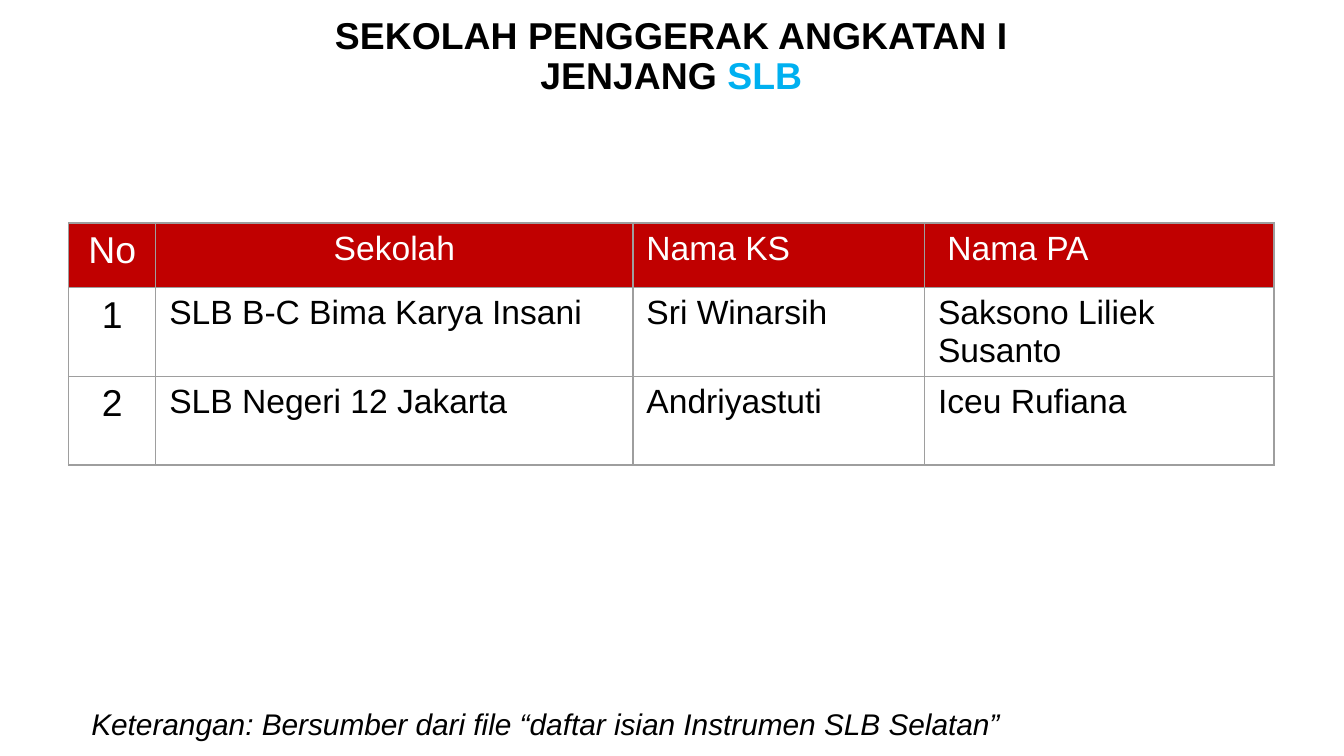
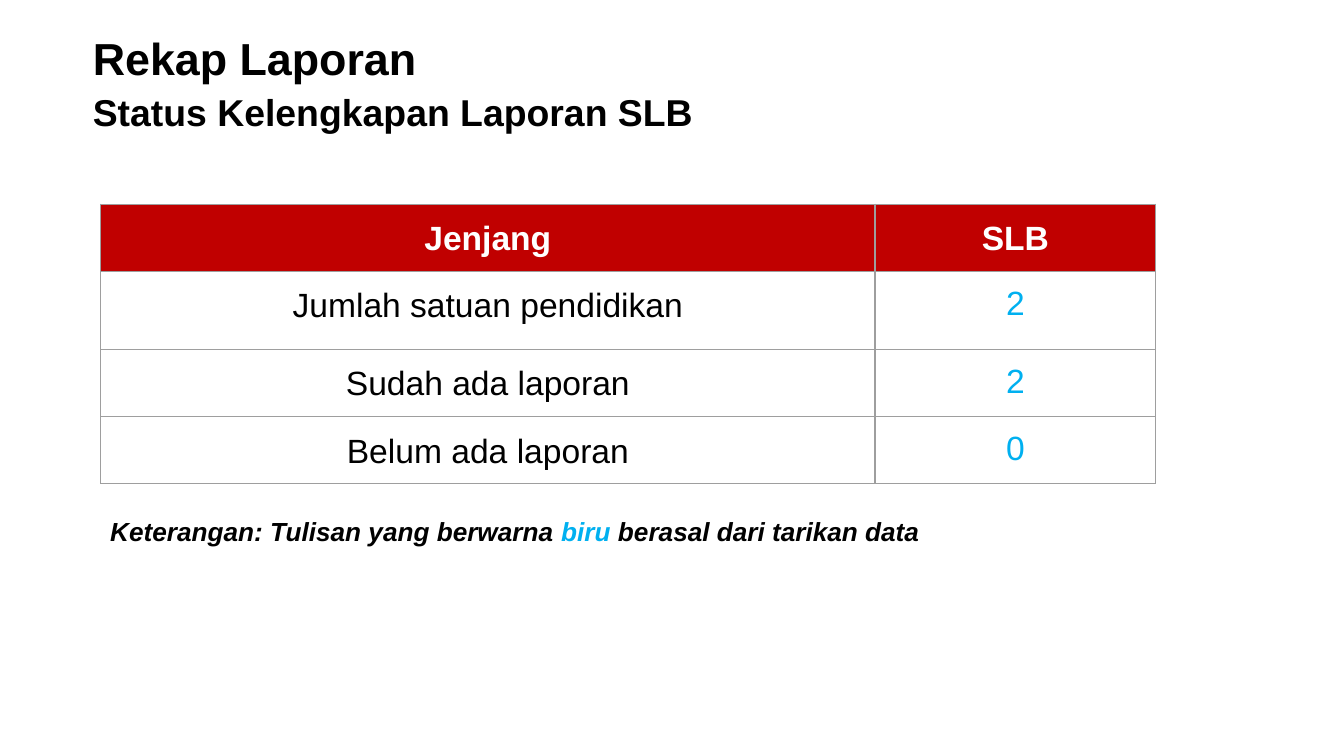
"""Build two slides on the first SLB school cohort and its report status."""
from dataclasses import dataclass

import pptx
import pptx.dml.color
import pptx.enum.text
import pptx.oxml
import pptx.oxml.ns
import pptx.util
from pptx.util import Inches

ALIGN = pptx.enum.text.PP_ALIGN
ANCHOR = pptx.enum.text.MSO_ANCHOR


@dataclass(frozen=True)
class Theme:
    font: str = "Arial"
    black: str = "000000"
    white: str = "FFFFFF"
    blue: str = "00B0F0"
    red: str = "C00000"
    grid: str = "9E9E9E"
    heading: int = 24
    title: int = 20
    body: int = 18
    note: int = 16
    small: int = 14


T = Theme()

SCHOOL_TITLE = [("SEKOLAH PENGGERAK ANGKATAN I\nJENJANG ", T.black), ("SLB", T.blue)]
SCHOOLS = [
    ("No", "Sekolah", "Nama KS", " Nama PA"),
    ("1", "SLB B-C Bima Karya Insani", "Sri Winarsih", "Saksono Liliek Susanto"),
    ("2", "SLB Negeri 12 Jakarta", "Andriyastuti", "Iceu Rufiana"),
]
SCHOOL_NOTE = "Keterangan: Bersumber dari file “daftar isian Instrumen SLB Selatan”"

REPORT_TITLE = "Rekap Laporan"
REPORT_SUBTITLE = "Status Kelengkapan Laporan SLB"
REPORTS = [
    ("Jenjang", "SLB"),
    ("Jumlah satuan pendidikan", "2"),
    ("Sudah ada laporan", "2"),
    ("Belum ada laporan", "0"),
]
REPORT_NOTE = [
    ("Keterangan: Tulisan yang berwarna ", T.black),
    ("biru ", T.blue),
    ("berasal dari tarikan data", T.black),
]


def write(tf, text, size=T.body, color=T.black, bold=False, italic=False,
          align=ALIGN.LEFT, spacing=None, after=None):
    """Write a string, or (string, colour) pairs, as one paragraph."""
    p = tf.paragraphs[0]
    p.alignment, p.line_spacing = align, spacing
    if after is not None:
        p.space_after = pptx.util.Pt(after)
    for part, shade in [(text, color)] if isinstance(text, str) else text:
        for i, line in enumerate(part.split("\n")):
            if i:
                p.add_line_break()
            r = p.add_run()
            r.text = line
            f = r.font
            f.name, f.size = T.font, pptx.util.Pt(size)
            f.bold, f.italic = bold, italic
            f.color.rgb = pptx.dml.color.RGBColor.from_string(shade)


def fill_box(sp, box, text, **fmt):
    """Place a text shape and write its line."""
    sp.left, sp.top, sp.width, sp.height = map(Inches, box)
    tf = sp.text_frame
    tf.word_wrap = True
    tf.auto_size = pptx.enum.text.MSO_AUTO_SIZE.NONE
    tf.vertical_anchor = ANCHOR.MIDDLE
    tf.margin_left = tf.margin_right = Inches(0.07)
    tf.margin_top = tf.margin_bottom = Inches(0.04)
    write(tf, text, spacing=0.9, **fmt)


def add_text(s, box, text, **fmt):
    """Add a text box."""
    fill_box(s.shapes.add_textbox(0, 0, 0, 0), box, text, **fmt)


def add_slide(prs, box, title, **fmt):
    """Add a slide with a bold title."""
    s = prs.slides.add_slide(prs.slide_layouts[5])
    fill_box(s.shapes.title, box, title, bold=True, **fmt)
    return s


def set_borders(cell):
    """Draw the thin grey grid around a cell."""
    tcPr = cell._tc.get_or_add_tcPr()
    for i, side in enumerate("LRTB"):
        tcPr.insert(i, pptx.oxml.parse_xml(
            f'<a:ln{side} {pptx.oxml.ns.nsdecls("a")} w="9525"><a:solidFill>'
            f'<a:srgbClr val="{T.grid}"/></a:solidFill></a:ln{side}>'))


def add_table(s, left, top, widths, heights, rows, style, margin=None):
    """Add a table with a red header; style(row, col) gives the text format."""
    frame = s.shapes.add_table(len(rows), len(widths), Inches(left), Inches(top),
                               Inches(sum(widths)), Inches(sum(heights)))
    table = frame.table
    table.horz_banding = table.first_row = False
    for col, width in zip(table.columns, widths):
        col.width = Inches(width)
    for i, (row, height) in enumerate(zip(rows, heights)):
        table.rows[i].height = Inches(height)
        for j, text in enumerate(row):
            cell = table.cell(i, j)
            if margin is not None:
                cell.margin_left = cell.margin_right = Inches(margin)
                cell.margin_top = cell.margin_bottom = Inches(margin)
            if i == 0:
                cell.fill.solid()
                cell.fill.fore_color.rgb = pptx.dml.color.RGBColor.from_string(T.red)
            else:
                cell.fill.background()
            set_borders(cell)
            write(cell.text_frame, text, **style(i, j))


def school_style(i, j):
    """Format a cell of the school list."""
    centred = j == 0 or (i, j) == (0, 1)
    return dict(size=T.body if j else T.title, color=T.black if i else T.white,
                align=ALIGN.CENTER if centred else ALIGN.LEFT)


def report_style(i, j):
    """Format a cell of the report summary."""
    if i and j:
        return dict(color=T.blue, align=ALIGN.CENTER)
    return dict(color=T.black if i else T.white, bold=i == 0,
                align=ALIGN.CENTER, spacing=1.07, after=8)


def main():
    """Build and save both slides."""
    prs = pptx.Presentation()
    prs.slide_width = Inches(10)
    prs.slide_height = prs.slide_width * 9 // 16

    s = add_slide(prs, (0.41, -0.12, 9.17, 1.09), SCHOOL_TITLE,
                  size=T.title, align=ALIGN.CENTER)
    add_table(s, 0.51, 1.66, (0.65, 3.55, 2.17, 2.6), (0.48, 0.66, 0.66),
              SCHOOLS, school_style)
    add_text(s, (0.61, 5.18, 9.17, 0.44), SCHOOL_NOTE, size=T.note, italic=True)

    s = add_slide(prs, (0.62, 0.16, 2.56, 0.59), REPORT_TITLE, size=T.heading)
    add_table(s, 0.75, 1.52, (5.76, 2.09), (0.49, 0.58, 0.5, 0.5),
              REPORTS, report_style, margin=0.1)
    add_text(s, (0.62, 0.62, 8.28, 0.46), REPORT_SUBTITLE, size=T.title, bold=True)
    add_text(s, (0.75, 3.51, 8.62, 0.91), REPORT_NOTE,
             size=T.small, bold=True, italic=True)

    prs.save("out.pptx")


if __name__ == "__main__":
    main()
